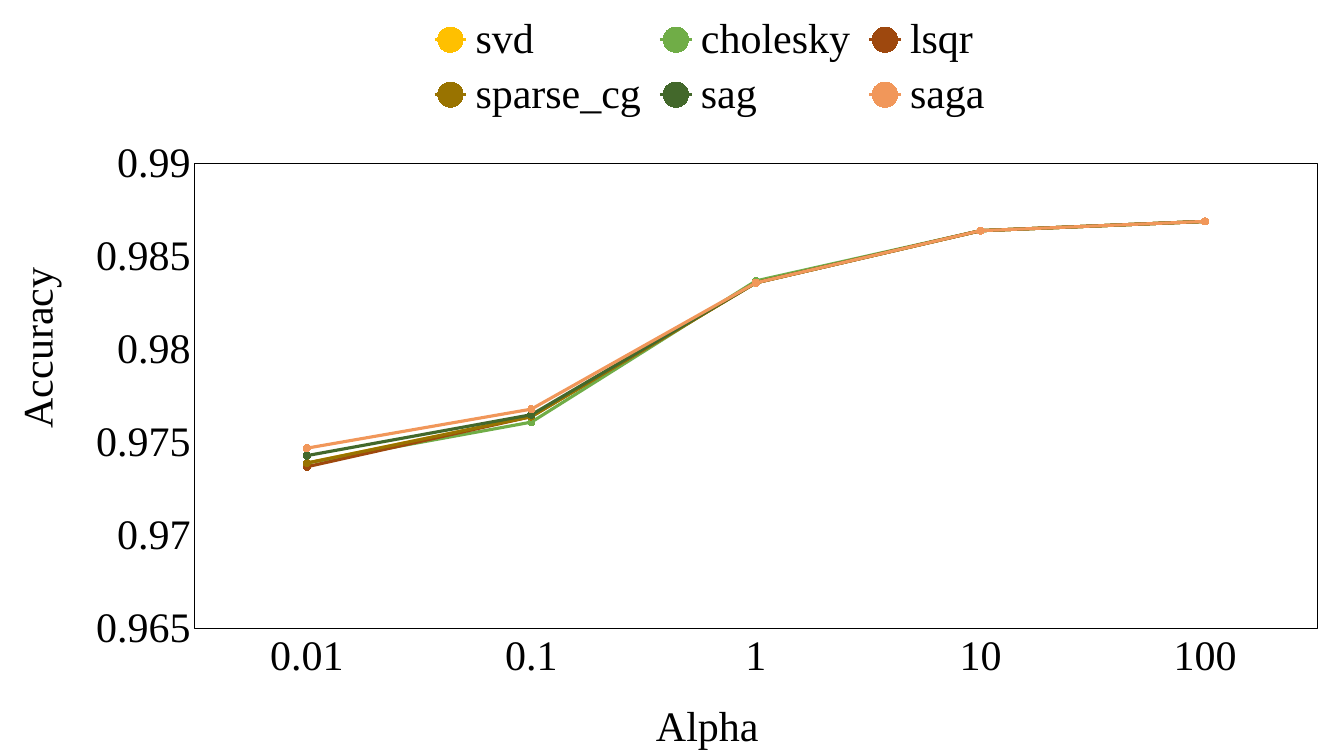
from pptx import Presentation
from pptx.chart.data import CategoryChartData
from pptx.dml.color import RGBColor
from pptx.enum.chart import XL_CHART_TYPE, XL_LEGEND_POSITION, XL_MARKER_STYLE, XL_TICK_MARK
from pptx.enum.text import MSO_ANCHOR, PP_ALIGN
from pptx.oxml import parse_xml
from pptx.oxml.ns import nsdecls, qn
from pptx.util import Pt

# Content
FONT, SIZE = "Times New Roman", 30
COLORS = {
    "text": "000000",
    "svd": "FFC000",
    "cholesky": "70AD47",
    "lsqr": "9E480E",
    "sparse_cg": "997300",
    "sag": "43682B",
    "saga": "F1975A",
}
ALPHAS = ["0.01", "0.1", "1", "10", "100"]
ACCURACY = {
    "svd": (0.9739, 0.9764, 0.9836, 0.9864, 0.9869),
    "cholesky": (0.9739, 0.9761, 0.9837, 0.9864, 0.9869),
    "lsqr": (0.9737, 0.9764, 0.9836, 0.9864, 0.9869),
    "sparse_cg": (0.9739, 0.9764, 0.9836, 0.9864, 0.9869),
    "sag": (0.9743, 0.9765, 0.9836, 0.9864, 0.9869),
    "saga": (0.9747, 0.9768, 0.9836, 0.9864, 0.9869),
}
# Axis titles: text, (left, top, width, height), text direction
TITLES = [
    ("Accuracy", (0, 186.5, 51, 124), "vert270"),
    ("Alpha", (461, 496, 88.5, 44), "horz"),
]
CHART_BOX = (51, 0, 909, 496)
# Plot and legend frames inside the chart, in points
PLOT_BOX = (88, 117, 802, 332)
LEGEND_BOX = (246, 6, 420, 84)


def color(name):
    return RGBColor.from_string(COLORS[name])


def style(font):
    font.name, font.size = FONT, Pt(SIZE)
    font.color.rgb = color("text")


def layout(box, target=""):
    """Manual chart layout: the box as fractions of the chart frame."""
    modes = '<c:xMode val="edge"/><c:yMode val="edge"/>'
    parts = "".join(f'<c:{k} val="{v / CHART_BOX[2 + i % 2]:.4f}"/>'
                    for i, (k, v) in enumerate(zip("xywh", box)))
    return parse_xml(f'<c:layout {nsdecls("c")}><c:manualLayout>{target}{modes}{parts}'
                     '</c:manualLayout></c:layout>')


def drop_layout(element):
    for old in element.findall(qn("c:layout")):
        element.remove(old)


prs = Presentation()
prs.slide_width, prs.slide_height = Pt(960), Pt(540)
s = prs.slides.add_slide(prs.slide_layouts[6])

# Axis titles
for text, box, direction in TITLES:
    tf = s.shapes.add_textbox(*map(Pt, box)).text_frame
    tf.word_wrap = False
    tf.vertical_anchor = MSO_ANCHOR.MIDDLE
    tf._txBody.bodyPr.set("vert", direction)
    p = tf.paragraphs[0]
    p.text = text
    p.alignment = PP_ALIGN.CENTER
    style(p.runs[0].font)

# Line chart
data = CategoryChartData()
data.categories = ALPHAS
for solver, values in ACCURACY.items():
    data.add_series(solver, values)
chart = s.shapes.add_chart(XL_CHART_TYPE.LINE_MARKERS, *map(Pt, CHART_BOX), data).chart
style(chart.font)
chart.has_title = False
chart.plots[0].vary_by_categories = False

for series in chart.plots[0].series:
    rgb = color(series.name)
    series.smooth = False
    series.format.line.color.rgb = rgb
    series.format.line.width = Pt(2.25)
    marker = series.marker
    marker.style, marker.size = XL_MARKER_STYLE.CIRCLE, 5
    marker.format.fill.solid()
    marker.format.fill.fore_color.rgb = rgb
    marker.format.line.color.rgb = rgb

# Axes
for axis in (chart.category_axis, chart.value_axis):
    axis.has_major_gridlines = False
    axis.major_tick_mark = axis.minor_tick_mark = XL_TICK_MARK.NONE
    axis.format.line.fill.background()
    style(axis.tick_labels.font)
axis = chart.value_axis
axis.minimum_scale, axis.maximum_scale, axis.major_unit = 0.965, 0.99, 0.005
axis.tick_labels.number_format = "General"
axis.tick_labels.number_format_is_linked = False

# Legend on two rows
chart.has_legend = True
legend = chart.legend
legend.position = XL_LEGEND_POSITION.TOP
legend.include_in_layout = False
style(legend.font)
drop_layout(legend._element)
legend._element.find(qn("c:legendPos")).addnext(layout(LEGEND_BOX))

# Plot area: position and thin black frame
plot_area = chart._chartSpace.chart.plotArea
drop_layout(plot_area)
plot_area.insert(0, layout(PLOT_BOX, '<c:layoutTarget val="inner"/>'))
plot_area.append(parse_xml(
    f'<c:spPr {nsdecls("c", "a")}><a:noFill/><a:ln w="{Pt(0.75)}"><a:solidFill>'
    f'<a:srgbClr val="{COLORS["text"]}"/></a:solidFill></a:ln></c:spPr>'))

prs.save("out.pptx")
